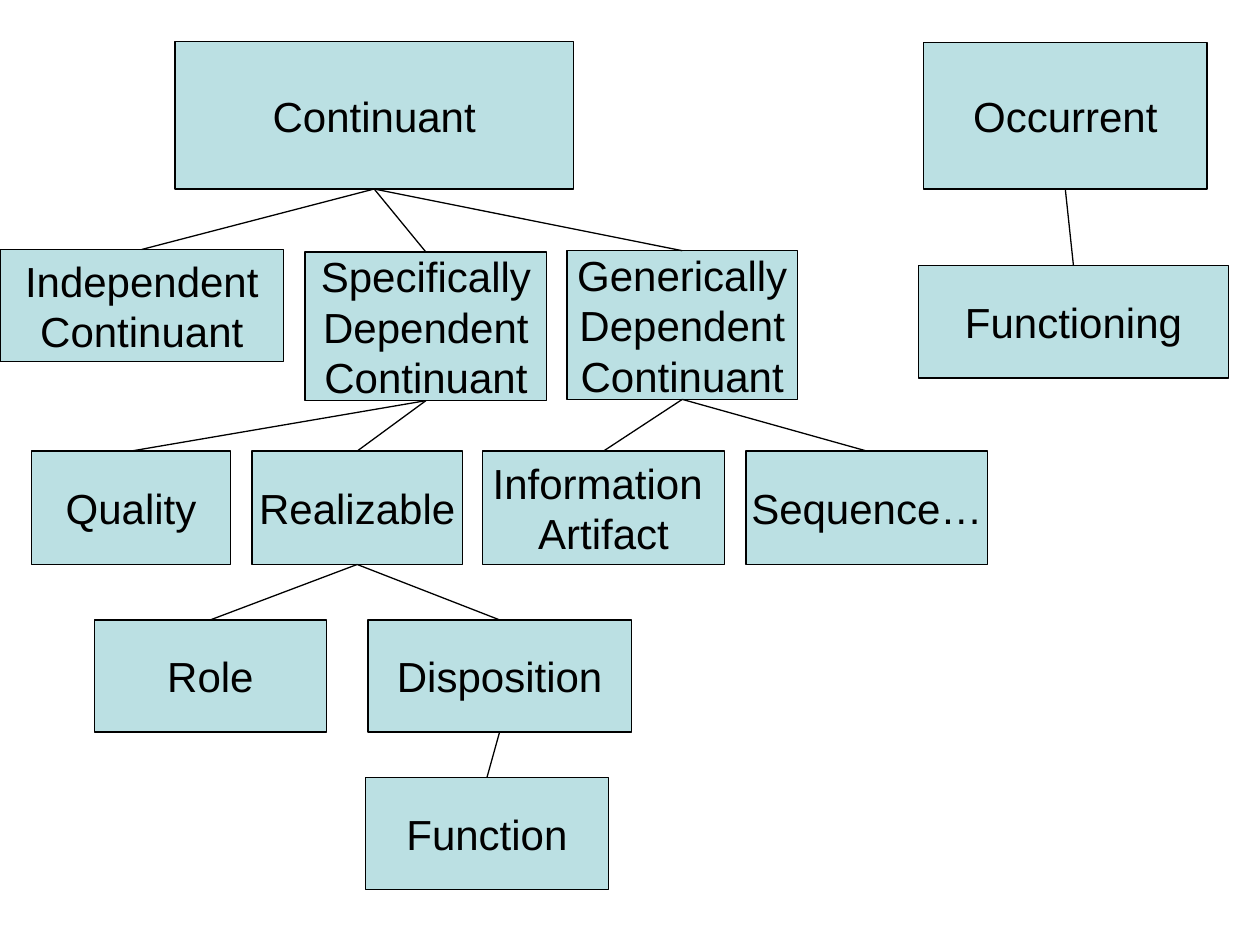
"""Build a slide with the tree of continuant and occurrent classes."""
import pptx
import pptx.dml.color
import pptx.enum.shapes
import pptx.enum.text
import pptx.oxml.ns
import pptx.util
from lxml import etree
from pptx.util import Inches

PALE_TEAL = pptx.dml.color.RGBColor(0xBB, 0xE0, 0xE3)
BLACK = pptx.dml.color.RGBColor(0, 0, 0)
LINE_WIDTH = pptx.util.Pt(0.75)
BOTTOM, TOP = 2, 0

FONT_FORMAT = {"name": "Arial", "size": pptx.util.Pt(24)}
FRAME_FORMAT = {
    "word_wrap": False,
    "vertical_anchor": pptx.enum.text.MSO_ANCHOR.MIDDLE,
    "margin_left": Inches(0.1),
    "margin_right": Inches(0.1),
    "margin_top": Inches(0.05),
    "margin_bottom": Inches(0.05),
}

CLASSES = {
    "continuant": ("Continuant", 1.39, 0.33, 3.16, 1.17),
    "occurrent": ("Occurrent", 7.33, 0.34, 2.25, 1.16),
    "independent": ("Independent\nContinuant", 0, 1.98, 2.25, 0.89),
    "specific": ("Specifically\nDependent\nContinuant", 2.42, 2, 1.92, 1.18),
    "generic": ("Generically\nDependent\nContinuant", 4.5, 1.99, 1.83, 1.18),
    "functioning": ("Functioning", 7.29, 2.11, 2.46, 0.89),
    "quality": ("Quality", 0.25, 3.58, 1.58, 0.9),
    "realizable": ("Realizable", 2, 3.58, 1.67, 0.9),
    "information": ("Information \nArtifact", 3.83, 3.58, 1.92, 0.9),
    "sequence": ("Sequence…", 5.92, 3.58, 1.92, 0.9),
    "role": ("Role", 0.75, 4.92, 1.84, 0.89),
    "disposition": ("Disposition", 2.92, 4.92, 2.09, 0.89),
    "function": ("Function", 2.9, 6.17, 1.93, 0.89),
}

SUBCLASSES = {
    "continuant": ("independent", "specific", "generic"),
    "occurrent": ("functioning",),
    "specific": ("quality", "realizable"),
    "generic": ("information", "sequence"),
    "realizable": ("role", "disposition"),
    "disposition": ("function",),
}


def apply_format(target, values):
    for name, value in values.items():
        setattr(target, name, value)


presentation = pptx.Presentation()
presentation.slide_width = Inches(10)
presentation.slide_height = Inches(7.5)
slide = presentation.slides.add_slide(presentation.slide_layouts[6])

boxes = {}
for key, (label, *bounds) in CLASSES.items():
    shape = slide.shapes.add_shape(
        pptx.enum.shapes.MSO_SHAPE.RECTANGLE, *map(Inches, bounds)
    )
    shape.shadow.inherit = False
    shape.fill.solid()
    shape.fill.fore_color.rgb = PALE_TEAL
    shape.line.color.rgb = BLACK
    shape.line.width = LINE_WIDTH
    apply_format(shape.text_frame, FRAME_FORMAT)
    shape.text_frame.text = label
    for paragraph in shape.text_frame.paragraphs:
        paragraph.alignment = pptx.enum.text.PP_ALIGN.CENTER
        apply_format(paragraph.font, FONT_FORMAT)
        paragraph.font.color.rgb = BLACK
    boxes[key] = shape

for parent, children in SUBCLASSES.items():
    for child in children:
        connector = slide.shapes.add_connector(
            pptx.enum.shapes.MSO_CONNECTOR.STRAIGHT, 0, 0, 0, 0
        )
        connector.begin_connect(boxes[parent], BOTTOM)
        connector.end_connect(boxes[child], TOP)
        connector.line.color.rgb = BLACK
        connector.line.width = LINE_WIDTH
        properties = connector._element.spPr
        etree.SubElement(properties, pptx.oxml.ns.qn("a:effectLst"))

presentation.save("out.pptx")
